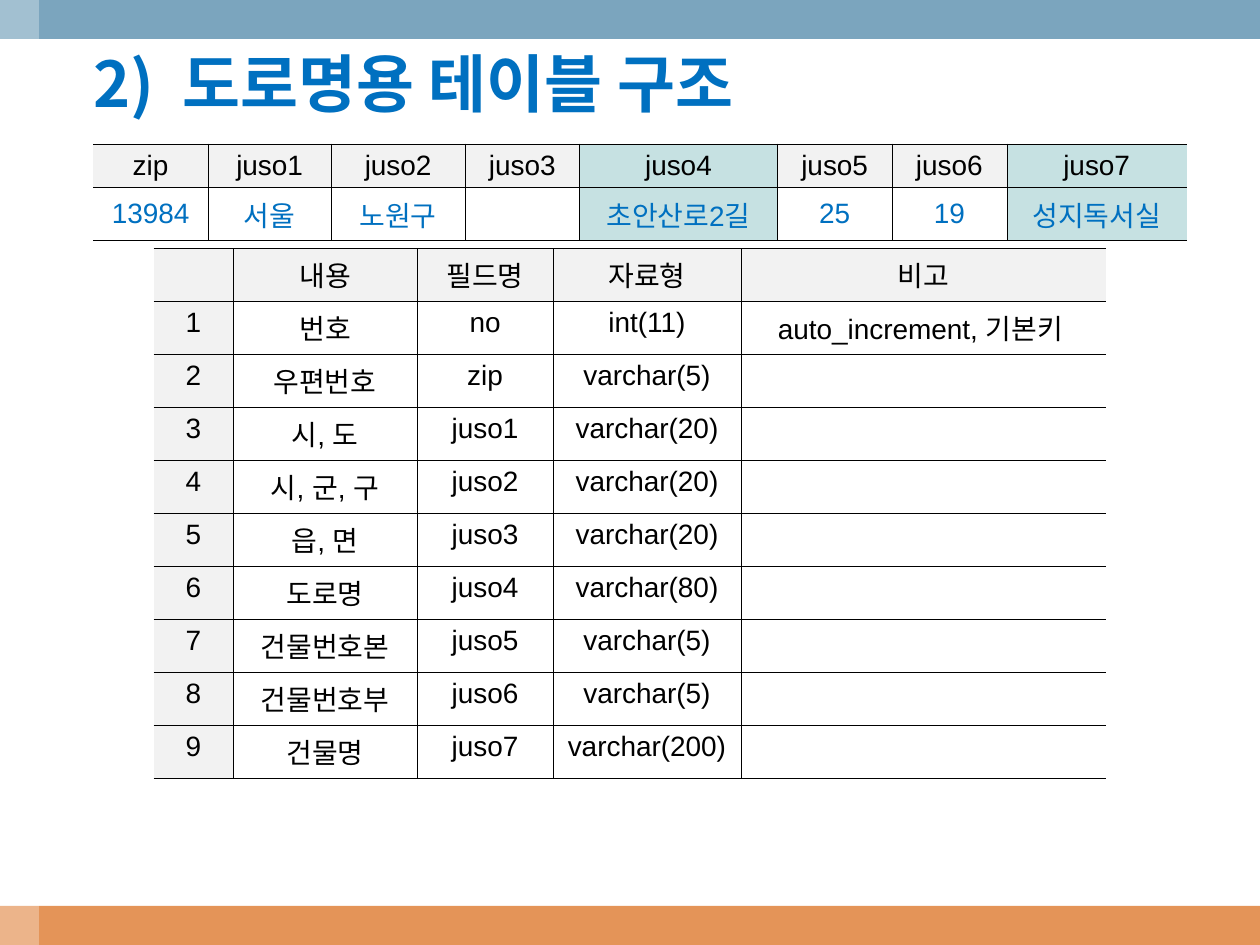
from dataclasses import dataclass

from lxml import etree
from pptx import Presentation
from pptx import util as u
from pptx.dml.color import RGBColor
from pptx.enum import shapes, text
from pptx.oxml.ns import qn

COLORS = {
    "blue": "7BA5BE", "orange": "E49458", "white": "FFFFFF", "gray": "F2F2F2",
    "teal": "C6E1E2", "black": "000000", "accent": "0070C0",
}
LATIN, HANGUL = "Arial", "Noto Sans CJK KR"


@dataclass
class Bar:
    left: float
    top: float
    width: float
    height: float
    color: str
    alpha: int = 100


@dataclass
class Grid:
    left: float
    top: float
    cols: list[float]
    row_height: float
    rows: list[list[str]]
    inset: float
    anchor: text.MSO_ANCHOR
    label_col: bool = False
    marked: tuple[int, ...] = ()
    body_color: str = "black"

    def fill(self, row: int, col: int) -> str:
        if col in self.marked:
            return "teal"
        return "gray" if row == 0 or (self.label_col and col == 0) else "white"


BARS = [
    Bar(0, 7.19, 10, 0.31, "orange"),
    Bar(0, 0, 10, 0.31, "blue"),
    Bar(0, 0, 0.31, 7.5, "white", 30),
]
FIELDS = [
    ("번호", "no", "int(11)", "auto_increment, 기본키 "),
    ("우편번호", "zip", "varchar(5)", ""),
    ("시, 도", "juso1", "varchar(20)", ""),
    ("시, 군, 구", "juso2", "varchar(20)", ""),
    ("읍, 면", "juso3", "varchar(20)", ""),
    ("도로명", "juso4", "varchar(80)", ""),
    ("건물번호본", "juso5", "varchar(5)", ""),
    ("건물번호부", "juso6", "varchar(5)", ""),
    ("건물명", "juso7", "varchar(200)", ""),
]
STRUCTURE = Grid(
    1.22, 1.97, [0.63, 1.46, 1.08, 1.49, 2.9], 0.33,
    [["", "내용", "필드명", "자료형", "비고"]]
    + [[str(n), *field] for n, field in enumerate(FIELDS, 1)],
    0.02, text.MSO_ANCHOR.TOP, label_col=True,
)
EXAMPLE = Grid(
    0.74, 1.14, [0.91, 0.98, 1.06, 0.91, 1.57, 0.91, 0.91, 1.43], 0.31,
    [["zip"] + [f"juso{n}" for n in range(1, 8)],
     ["13984", "서울", "노원구", "", "초안산로2길", "25", "19", "성지독서실"]],
    0.07, text.MSO_ANCHOR.MIDDLE, marked=(4, 7), body_color="accent",
)


def rgb(name: str) -> RGBColor:
    return RGBColor.from_string(COLORS[name])


def add_run(p, words: str, size: float, font: str, color: str, bold: bool = False) -> None:
    r = p.add_run()
    r.text = words
    r.font.size, r.font.name, r.font.bold = u.Pt(size), font, bold
    r.font.color.rgb = rgb(color)
    etree.SubElement(r.font._element, qn("a:ea"), typeface=HANGUL)


def add_bar(s, bar: Bar) -> None:
    box = [u.Inches(v) for v in (bar.left, bar.top, bar.width, bar.height)]
    sp = s.shapes.add_shape(shapes.MSO_SHAPE.RECTANGLE, *box)
    sp.shadow.inherit = False
    sp.line.fill.background()
    sp.fill.solid()
    sp.fill.fore_color.rgb = rgb(bar.color)
    if bar.alpha < 100:
        clr = sp.fill._xPr.find(".//" + qn("a:srgbClr"))
        etree.SubElement(clr, qn("a:alpha"), val=str(bar.alpha * 1000))


def add_borders(cell, sides: list[str]) -> None:
    tc_pr = cell._tc.get_or_add_tcPr()
    for i, side in enumerate(("L", "R", "T", "B")):
        visible = side in sides
        ln = etree.Element(qn(f"a:ln{side}"), w=str(u.Pt(0.11) if visible else 0))
        fill = etree.SubElement(ln, qn("a:solidFill" if visible else "a:noFill"))
        if visible:
            etree.SubElement(fill, qn("a:srgbClr"), val=COLORS["black"])
        tc_pr.insert(i, ln)


def add_grid(s, grid: Grid) -> None:
    n_rows, n_cols = len(grid.rows), len(grid.cols)
    frame = s.shapes.add_table(
        n_rows, n_cols, u.Inches(grid.left), u.Inches(grid.top),
        u.Inches(sum(grid.cols)), u.Inches(grid.row_height * n_rows))
    table = frame.table
    table.first_row = table.horz_banding = False
    for column, width in zip(table.columns, grid.cols):
        column.width = u.Inches(width)
    for i, row in enumerate(grid.rows):
        table.rows[i].height = u.Inches(grid.row_height)
        for j, words in enumerate(row):
            cell = table.cell(i, j)
            cell.margin_left = cell.margin_right = u.Inches(grid.inset)
            cell.margin_top = cell.margin_bottom = u.Inches(0.05)
            cell.vertical_anchor = grid.anchor
            cell.fill.solid()
            cell.fill.fore_color.rgb = rgb(grid.fill(i, j))
            sides = ["T", "B"] + ["L"] * (j > 0) + ["R"] * (j < n_cols - 1)
            add_borders(cell, sides)
            p = cell.text_frame.paragraphs[0]
            p.alignment = text.PP_ALIGN.CENTER
            if words:
                add_run(p, words, 16, LATIN, grid.body_color if i else "black")


def add_title(s, words: str) -> None:
    sp = s.shapes.title
    sp.left, sp.top, sp.width, sp.height = (u.Inches(v) for v in (0.74, 0.4, 8.2, 0.55))
    tf = sp.text_frame
    tf.word_wrap, tf.auto_size = True, text.MSO_AUTO_SIZE.NONE
    tf.vertical_anchor = text.MSO_ANCHOR.BOTTOM
    tf.margin_left = tf.margin_right = tf.margin_bottom = 0
    tf.margin_top = u.Inches(0.05)
    p = tf.paragraphs[0]
    p.alignment = text.PP_ALIGN.LEFT
    add_run(p, words, 36, HANGUL, "accent", bold=True)


def main() -> None:
    """Build the road-name address table slide."""
    prs = Presentation()
    prs.slide_width, prs.slide_height = u.Inches(10), u.Inches(7.5)
    s = prs.slides.add_slide(prs.slide_layouts[5])
    for bar in BARS:
        add_bar(s, bar)
    for grid in (STRUCTURE, EXAMPLE):
        add_grid(s, grid)
    add_title(s, "2)  도로명용 테이블 구조")
    prs.save("out.pptx")


if __name__ == "__main__":
    main()
